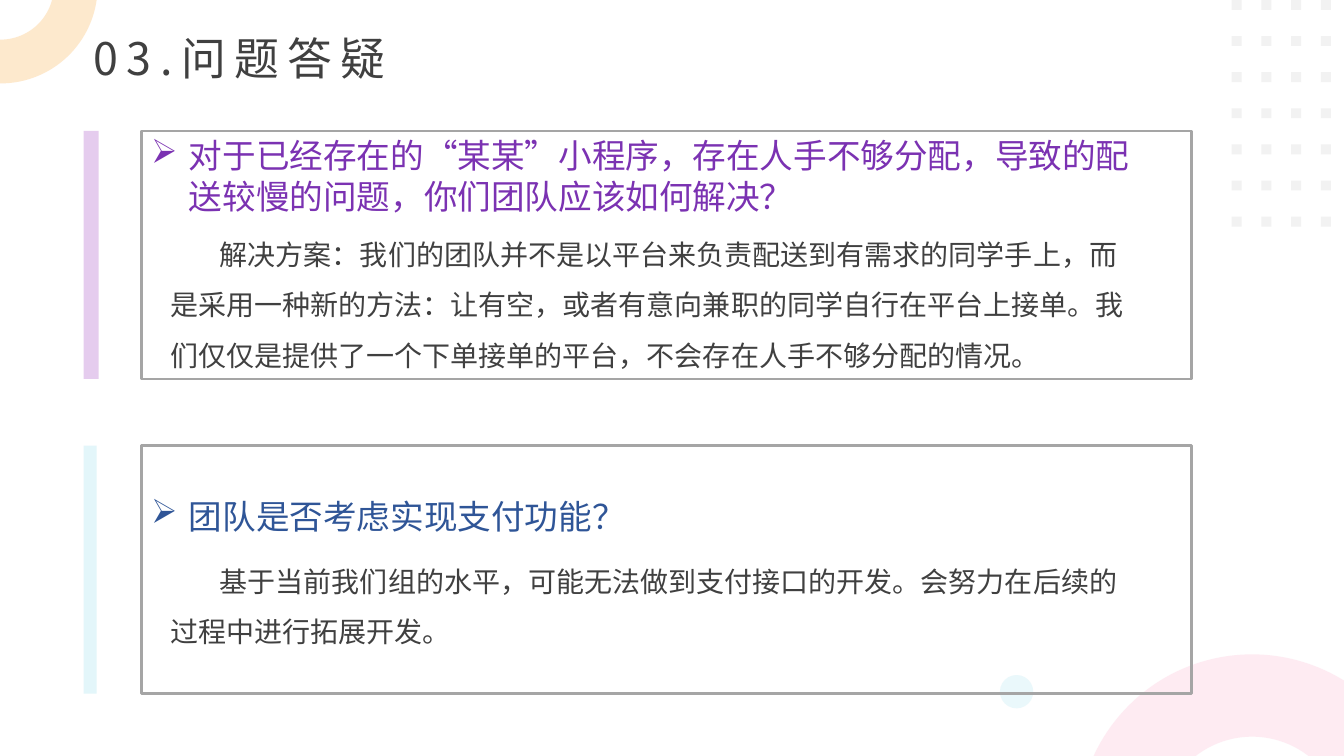
import dataclasses

import pptx
import pptx.dml.color
import pptx.enum.shapes
import pptx.enum.text
import pptx.oxml.ns
import pptx.util
from lxml import etree

Cm = pptx.util.Cm
Pt = pptx.util.Pt
qn = pptx.oxml.ns.qn
Shape = pptx.enum.shapes.MSO_SHAPE
Anchor = pptx.enum.text.MSO_ANCHOR


@dataclasses.dataclass(frozen=True)
class Theme:
    font: str = "Noto Sans CJK SC"
    text: str = "404040"
    frame: str = "A5A5A5"
    dot: str = "F2F2F2"
    orange: str = "FDD49D"
    pink: str = "FDCADD"
    aqua: str = "E3F6FA"
    violet: str = "BB77D2"
    purple: tuple = ("7B32B2", "401A5D")
    blue: str = "2F5597"
    title_size: int = 32
    question_size: int = 24
    answer_size: int = 20


THEME = Theme()


def rgb(value):
    return pptx.dml.color.RGBColor.from_string(value)


def add_figure(shapes, kind, box, fill=None, opacity=100, line=None, adjustments=()):
    figure = shapes.add_shape(kind, *(Cm(length) for length in box))
    figure.shadow.inherit = False
    for index, value in enumerate(adjustments):
        figure.adjustments[index] = value
    if fill:
        figure.fill.solid()
        figure.fill.fore_color.rgb = rgb(fill)
        if opacity < 100:
            color = figure._element.spPr.find(".//" + qn("a:srgbClr"))
            etree.SubElement(color, qn("a:alpha")).set("val", str(opacity * 1000))
    else:
        figure.fill.background()
    if line:
        figure.line.color.rgb = rgb(line)
        figure.line.width = Pt(2)
    else:
        figure.line.fill.background()
    return figure


def add_text(slide, text, box, size, color, anchor=Anchor.TOP, line_spacing=None,
             margin=0, indent=0, bullet=None, tracking=0):
    frame = slide.shapes.add_textbox(*(Cm(length) for length in box)).text_frame
    frame.word_wrap = True
    frame.vertical_anchor = anchor
    paragraph = frame.paragraphs[0]
    properties = paragraph._p.get_or_add_pPr()
    properties.set("marL", str(Cm(margin)))
    properties.set("indent", str(Cm(indent)))
    if bullet:
        etree.SubElement(properties, qn("a:buChar")).set("char", bullet)
    if line_spacing:
        paragraph.line_spacing = line_spacing
    run = paragraph.add_run()
    run.text = text
    font = run.font
    font.size = Pt(size)
    if isinstance(color, tuple):
        font.fill.gradient()
        font.fill.gradient_angle = 0
        for stop, value in zip(font.fill.gradient_stops, color):
            stop.color.rgb = rgb(value)
    else:
        font.color.rgb = rgb(color)
    font.name = THEME.font
    run_properties = run._r.get_or_add_rPr()
    etree.SubElement(run_properties, qn("a:ea")).set("typeface", THEME.font)
    if tracking:
        run_properties.set("spc", str(tracking * 100))


def add_dot_grid(slide, left, top, columns=4, rows=7):
    grid = slide.shapes.add_group_shape()
    for column in range(columns):
        for row in range(rows):
            box = (left + column * 0.75, top + row * 0.91, 0.25, 0.25)
            add_figure(grid.shapes, Shape.RECTANGLE, box, THEME.dot)


def add_decorations(slide, width, height):
    corner_arc = add_figure(slide.shapes, Shape.BLOCK_ARC, (-2.44, -2.8, 4.9, 4.9),
                            THEME.orange, 51, adjustments=(97.41, 173.6, 0.225))
    corner_arc.rotation = 180
    add_dot_grid(slide, width - 2.83, 0)
    add_figure(slide.shapes, Shape.OVAL, (width - 8.67, height - 2.04, 0.84, 0.84),
               THEME.aqua, 75)
    add_figure(slide.shapes, Shape.BLOCK_ARC, (width - 6.71, height - 2.56, 8.79, 8.79),
               THEME.pink, 36, adjustments=(120.83, 197.75, 0.236))


def add_question_card(slide, box, bar_width, bar_color, bar_opacity, question,
                      question_color, question_box, answer, answer_box):
    left, top, width, height = box
    inset = 1.45
    add_figure(slide.shapes, Shape.RECTANGLE, (left, top, bar_width, height),
               bar_color, bar_opacity)
    add_figure(slide.shapes, Shape.RECTANGLE,
               (left + inset, top, width - inset, height), line=THEME.frame)
    question_top, question_height = question_box
    add_text(slide, question, (left + inset, top + question_top, 25.5, question_height),
             THEME.question_size, question_color, margin=0.95, indent=-0.95, bullet="➢")
    answer_top, answer_height = answer_box
    add_text(slide, answer, (left + 1.93, top + answer_top, 24.54, answer_height),
             THEME.answer_size, THEME.text, line_spacing=1.5, indent=1.25)


def build_questions_slide(presentation):
    slide = presentation.slides.add_slide(presentation.slide_layouts[6])
    add_decorations(slide, 33.87, 19.05)
    add_text(slide, "03.问题答疑", (2.11, 0.76, 8.79, 1.5), THEME.title_size, THEME.text,
             anchor=Anchor.BOTTOM, line_spacing=0.9, tracking=6)
    add_question_card(
        slide, (2.11, 3.3, 27.92, 6.25), 0.38, THEME.violet, 37,
        "对于已经存在的“某某”小程序，存在人手不够分配，导致的配送较慢的问题，你们团队应该如何解决？",
        THEME.purple, (-0.02, 2.31),
        "解决方案：我们的团队并不是以平台来负责配送到有需求的同学手上，而是采用一种新的方法："
        "让有空，或者有意向兼职的同学自行在平台上接单。我们仅仅是提供了一个下单接单的平台，"
        "不会存在人手不够分配的情况。",
        (2.13, 4.09))
    add_question_card(
        slide, (2.11, 11.23, 27.92, 6.25), 0.33, THEME.aqua, 100,
        "团队是否考虑实现支付功能？", THEME.blue, (1.14, 1.27),
        "基于当前我们组的水平，可能无法做到支付接口的开发。会努力在后续的过程中进行拓展开发。",
        (2.44, 2.82))


def main():
    presentation = pptx.Presentation()
    presentation.slide_width = Cm(33.87)
    presentation.slide_height = Cm(19.05)
    build_questions_slide(presentation)
    presentation.save("out.pptx")


if __name__ == "__main__":
    main()
